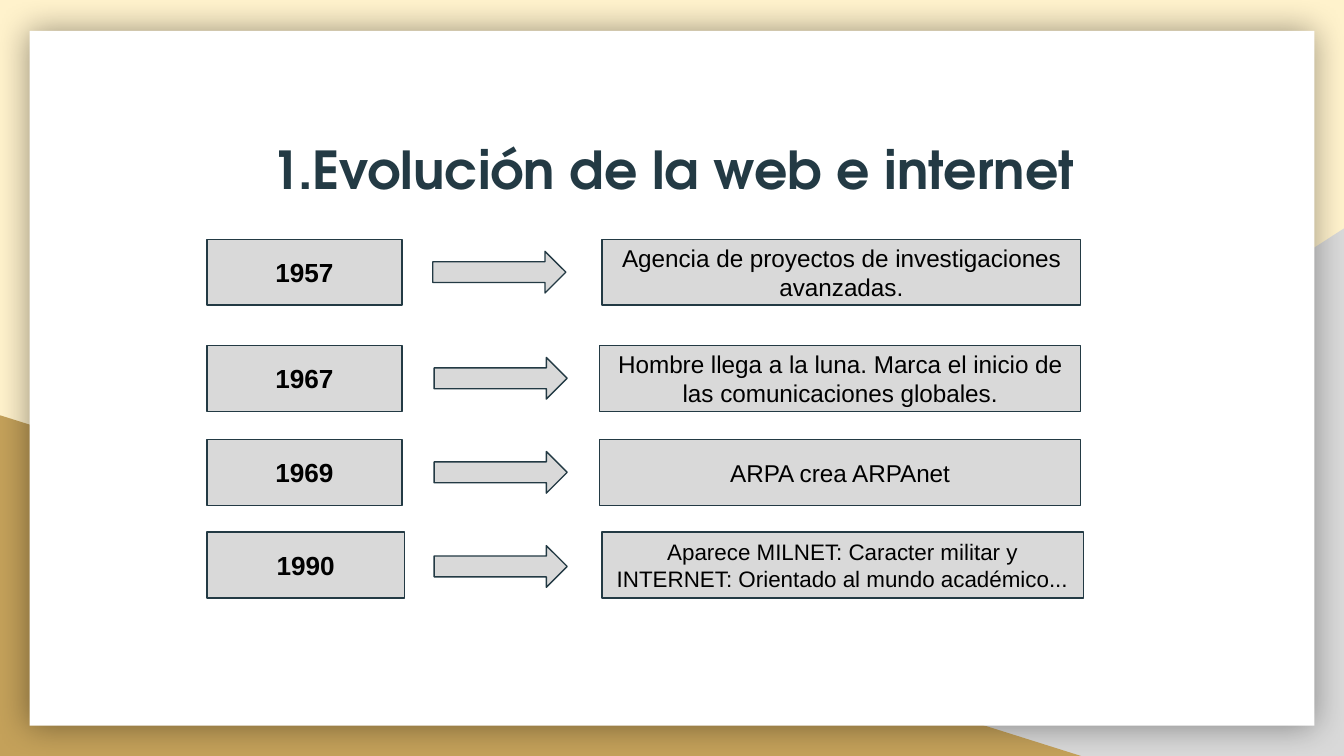
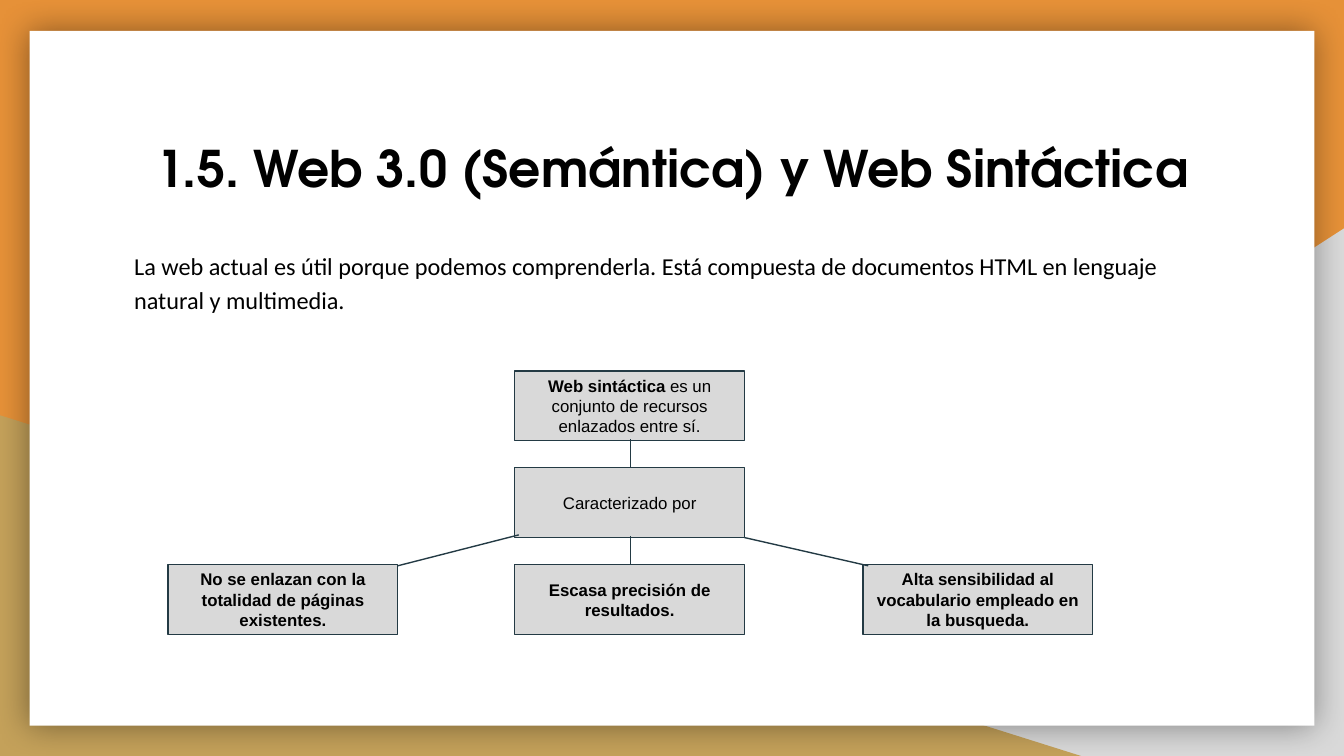
"""Build two slides on the evolution of the web."""
from lxml import etree
from pptx import Presentation
from pptx.dml.color import RGBColor
from pptx.enum.shapes import MSO_CONNECTOR as CONN, MSO_SHAPE as SHAPE
from pptx.enum.text import MSO_ANCHOR as ANCHOR, PP_ALIGN as ALIGN
from pptx.oxml.ns import qn
from pptx.util import Inches, Pt

INK, BLACK, WHITE = "233A44", "000000", "FFFFFF"
GREY, GOLD, CREAM, ORANGE = "D9D9D9", "C4A15A", "FFF2CC", "E69138"
TITLE_FONT, BODY_FONT, BOX_FONT = "TeX Gyre Adventor", "Calibri", "Arial"

TIMELINE_TITLE = "1.Evolución de la web e internet"
# year, event, top, year width, arrow left, arrow top, event left, event width, event size
TIMELINE = [
    ("1957", "Agencia de proyectos de investigaciones avanzadas.",
     1.78, 1.45, 3.22, 1.87, 4.48, 3.56, 13),
    ("1967", "Hombre llega a la luna. Marca el inicio de las comunicaciones globales.",
     2.57, 1.45, 3.23, 2.66, 4.46, 3.58, 13),
    ("1969", "ARPA crea ARPAnet",
     3.27, 1.45, 3.23, 3.36, 4.46, 3.58, 13),
    ("1990", "Aparece MILNET: Caracter militar y INTERNET: Orientado al mundo académico...",
     3.96, 1.47, 3.23, 4.06, 4.48, 3.58, 12),
]

SEMANTIC_TITLE = "1.5. Web 3.0 (Semántica) y Web Sintáctica"
SEMANTIC_INTRO = ("La web actual es útil porque podemos comprenderla. Está compuesta de "
                  "documentos HTML en lenguaje natural y multimedia.")
LEFT, CENTRE, RIGHT = 1.25, 3.83, 6.42
LEVEL_TOP, LEVEL_STEP, NODE_W, NODE_H = 2.76, 0.72, 1.71, 0.52
NODES = [
    (CENTRE, 0, [("Web sintáctica", True),
                 (" es un conjunto de recursos enlazados entre sí.", False)]),
    (CENTRE, 1, [("Caracterizado por", False)]),
    (RIGHT, 2, [("Alta sensibilidad al vocabulario empleado en la busqueda.", True)]),
    (CENTRE, 2, [("Escasa precisión de resultados.", True)]),
    (LEFT, 2, [("No se enlazan con la totalidad de páginas existentes.", True)]),
]
LINKS = [(4.69, 3.27, 4.69, 3.48), (2.96, 4.21, 3.86, 3.98),
         (4.69, 3.99, 4.69, 4.2), (5.54, 4, 6.46, 4.21)]


def rgb(value):
    return RGBColor.from_string(value)


def inches(*values):
    return [Inches(v) for v in values]


def write(sp, runs, size, font=BOX_FONT, color=BLACK, align=ALIGN.CENTER,
          anchor=ANCHOR.MIDDLE, spacing=None, after=None):
    tf = sp.text_frame
    tf.word_wrap = True
    tf.vertical_anchor = anchor
    tf.margin_left = tf.margin_right = tf.margin_top = tf.margin_bottom = Inches(0.1)
    p = tf.paragraphs[0]
    p.alignment = align
    if spacing:
        p.line_spacing = spacing
    if after:
        p.space_after = Pt(after)
    for text, bold in runs:
        r = p.add_run()
        r.text = text
        r.font.name, r.font.size, r.font.bold = font, Pt(size), bold
        r.font.color.rgb = rgb(color)


def add_shape(slide, kind, box, fill=GREY, line=INK):
    sp = slide.shapes.add_shape(kind, *inches(*box))
    sp.shadow.inherit = False
    sp.fill.solid()
    sp.fill.fore_color.rgb = rgb(fill)
    if line:
        sp.line.color.rgb = rgb(line)
        sp.line.width = Pt(0.75)
    else:
        sp.line.fill.background()
    return sp


def add_box(slide, box, runs, size):
    write(add_shape(slide, SHAPE.RECTANGLE, box), runs, size)


def add_link(slide, ends):
    link = slide.shapes.add_connector(CONN.STRAIGHT, *inches(*ends))
    link.line.color.rgb = rgb(INK)
    link.line.width = Pt(0.75)
    etree.SubElement(link._element.spPr, qn("a:effectLst"))


def add_glow(sp):
    effects = sp._element.spPr.find(qn("a:effectLst"))
    shadow = etree.SubElement(effects, qn("a:outerShdw"), blurRad=str(Pt(18)),
                              dist="0", dir="0", algn="ctr", rotWithShape="0")
    color = etree.SubElement(shadow, qn("a:srgbClr"), val=BLACK)
    etree.SubElement(color, qn("a:alpha"), val="40000")


def add_slide(prs, background, title, size, color):
    slide = prs.slides.add_slide(prs.slide_layouts[6])
    slide.background.fill.solid()
    slide.background.fill.fore_color.rgb = rgb(background)
    corner = add_shape(slide, SHAPE.RIGHT_TRIANGLE, (3.92, 1.7, 6.08, 3.93), GREY, None)
    corner._element.spPr.find(qn("a:xfrm")).set("flipH", "1")
    add_shape(slide, SHAPE.RIGHT_TRIANGLE, (0, 3.09, 8.06, 2.54), GOLD, None)
    add_glow(add_shape(slide, SHAPE.RECTANGLE, (0.22, 0.23, 9.56, 5.17), WHITE, None))
    heading = slide.shapes.add_textbox(*inches(0.9, 0.92, 8.21, 0.68))
    write(heading, [(title, True)], size, TITLE_FONT, color, anchor=ANCHOR.TOP)
    return slide


def build_timeline(prs):
    slide = add_slide(prs, CREAM, TIMELINE_TITLE, 28, INK)
    for year, event, top, year_w, arrow_x, arrow_y, event_x, event_w, size in TIMELINE:
        add_box(slide, (1.54, top, year_w, 0.49), [(year, True)], 14)
        add_shape(slide, SHAPE.RIGHT_ARROW, (arrow_x, arrow_y, 0.99, 0.31))
        add_box(slide, (event_x, top, event_w, 0.49), [(event, False)], size)


def build_semantic(prs):
    slide = add_slide(prs, ORANGE, SEMANTIC_TITLE, 27, BLACK)
    intro = slide.shapes.add_textbox(*inches(0.9, 1.74, 8.21, 1.25))
    write(intro, [(SEMANTIC_INTRO, False)], 13, BODY_FONT, align=ALIGN.LEFT,
          anchor=ANCHOR.TOP, spacing=1.15, after=12)
    for left, level, runs in NODES:
        add_box(slide, (left, LEVEL_TOP + level * LEVEL_STEP, NODE_W, NODE_H), runs, 9)
    for ends in LINKS:
        add_link(slide, ends)


def main():
    prs = Presentation()
    prs.slide_width = Inches(10)
    prs.slide_height = prs.slide_width * 9 // 16
    build_timeline(prs)
    build_semantic(prs)
    prs.save("out.pptx")


if __name__ == "__main__":
    main()
